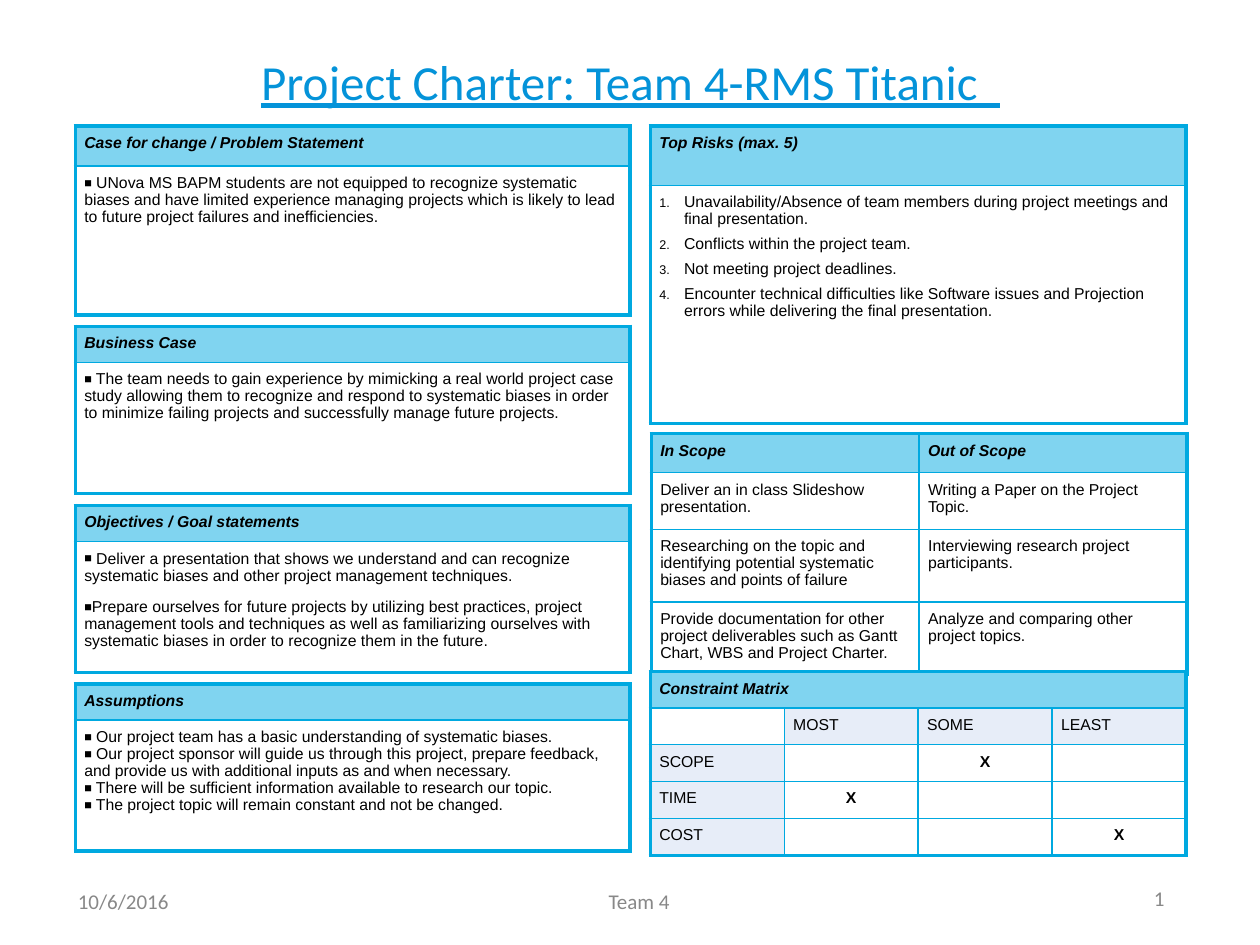
from lxml.etree import SubElement
from pptx import Presentation
from pptx.dml.color import RGBColor
from pptx.enum.text import MSO_ANCHOR as Anchor, PP_ALIGN as Align
from pptx.oxml.ns import qn
from pptx.util import Cm, Pt

BLUE, HEADER, PALE, WHITE = "00A9E0", "80D4F0", "E7EDF8", "FFFFFF"
TITLE, GREY, BLACK = "0493D9", "888888", "000000"
LEFT, RIGHT = 1.52, 13.11
LEFT_WIDTH, RIGHT_WIDTH = 11.18, 10.8
HEADING = {"bold": True, "italic": True}
PLAIN = {"bold": False, "italic": False}
MARK = {"bold": True, "italic": False}
CELL_MARGINS = {f"margin_{side}": Cm(0.18) for side in ("left", "right", "top", "bottom")}
SQUARE = ("a:buChar", {"char": "■"})
NUMBER = ("a:buAutoNum", {"type": "arabicPeriod"})

STATEMENTS = [
    (2.54, (0.81, 3.0), "Case for change / Problem Statement", [
        " UNova MS BAPM students are not equipped to recognize systematic biases and have limited "
        "experience managing projects which is likely to lead to future project failures and "
        "inefficiencies."], 0),
    (6.58, (0.71, 2.64), "Business Case", [
        " The team needs to gain experience by mimicking a real world project case study allowing "
        "them to recognize and respond to systematic biases in order to minimize failing projects "
        "and successfully manage future projects."], 0),
    (10.19, (0.71, 2.64), "Objectives / Goal statements", [
        " Deliver a presentation that shows we understand and can recognize systematic biases and "
        "other project management techniques.",
        "Prepare ourselves for future projects by utilizing best practices, project management "
        "tools and techniques as well as familiarizing ourselves with systematic biases in order "
        "to recognize them in the future."], 8.5),
    (13.79, (0.71, 2.64), "Assumptions", [
        " Our project team has a basic understanding of systematic biases.",
        " Our project sponsor will guide us through this project, prepare feedback, and provide "
        "us with additional inputs as and when necessary.",
        " There will be sufficient information available to research our topic.",
        " The project topic will remain constant and not be changed."], 0),
]
RISKS = [
    "Unavailability/Absence of team members during project meetings and final presentation.",
    "Conflicts within the project team.",
    "Not meeting project deadlines.",
    "Encounter technical difficulties like Software issues and Projection errors while "
    "delivering the final presentation.",
]
SCOPE = [
    ("In Scope", "Out of Scope"),
    ("Deliver an in class Slideshow presentation.", "Writing a Paper on the Project Topic."),
    ("Researching on the topic and identifying potential systematic biases and points of failure",
     "Interviewing research project participants."),
    ("Provide documentation for other project deliverables such as Gantt Chart, WBS and "
     "Project Charter.", "Analyze and comparing other project topics."),
]
CONSTRAINTS = [
    ("Constraint Matrix", "", "", ""),
    ("", "MOST", "SOME", "LEAST"),
    ("SCOPE", "", "X", ""),
    ("TIME", "X", "", ""),
    ("COST", "", "", "X"),
]


def color(value):
    return RGBColor.from_string(value)


def apply(target, values):
    for name, value in values.items():
        setattr(target, name, value)


def add_span(para, text, size, font, tint, style):
    span = para.add_run()
    span.text = text
    apply(span.font, {"size": Pt(size), "name": font, **style})
    span.font.color.rgb = color(tint)


def add_text(slide, place, text, size, tint, align=Align.LEFT, underline=None):
    box = slide.shapes.add_textbox(*map(Cm, place))
    apply(box.text_frame, {"word_wrap": True, "vertical_anchor": Anchor.MIDDLE})
    para = box.text_frame.paragraphs[0]
    para.alignment = align
    add_span(para, text, size, "Calibri", tint, {"underline": underline})


def add_bullet(para, bullet):
    props = para._p.get_or_add_pPr()
    if bullet is NUMBER:
        apply_indent = {"marL": Cm(0.5), "indent": -Cm(0.5)}
        for name, value in apply_indent.items():
            props.set(name, str(int(value)))
    SubElement(SubElement(props, qn("a:buClr")), qn("a:srgbClr"), val=BLACK)
    SubElement(props, qn("a:buSzPct"), val="80000")
    SubElement(props, qn("a:buFont"), typeface="Arial")
    tag, values = bullet
    SubElement(props, qn(tag), values)


def write_cell(cell, texts, style, align=Align.LEFT, bullet=None, gap=0):
    frame = cell.text_frame
    for index, text in enumerate(texts):
        para = frame.add_paragraph() if index else frame.paragraphs[0]
        apply(para, {"alignment": align, "line_spacing": 0.96,
                     "space_before": Pt(gap if index else 0)})
        if bullet:
            add_bullet(para, bullet)
        if text:
            add_span(para, text, 9, "Arial", BLACK, style)
        else:
            SubElement(para._p, qn("a:endParaRPr"), sz="900")


def add_borders(cell, outer):
    props = cell._tc.get_or_add_tcPr()
    for side in "LRTB":
        width = Pt(2.25 if side in outer else 1)
        line = SubElement(props, qn(f"a:ln{side}"), w=str(int(width)))
        SubElement(SubElement(line, qn("a:solidFill")), qn("a:srgbClr"), val=BLUE)


def add_grid(slide, left, top, widths, heights, merge_header=False):
    place = map(Cm, (left, top, sum(widths), sum(heights)))
    table = slide.shapes.add_table(len(heights), len(widths), *place).table
    apply(table, {"first_row": False, "horz_banding": False})
    for column, width in zip(table.columns, widths):
        column.width = Cm(width)
    for row, height in zip(table.rows, heights):
        row.height = Cm(height)
    if merge_header:
        table.cell(0, 0).merge(table.cell(0, len(widths) - 1))
    for row in range(len(heights)):
        for column in range(len(widths)):
            cell = table.cell(row, column)
            edges = {"L": column == 0, "R": column + cell.span_width == len(widths),
                     "T": row == 0, "B": row == len(heights) - 1}
            apply(cell, CELL_MARGINS)
            add_borders(cell, [side for side, outer in edges.items() if outer])
            paint(cell, WHITE if row else HEADER)
    return table


def paint(cell, tint):
    cell.fill.solid()
    cell.fill.fore_color.rgb = color(tint)


def add_card(slide, left, top, width, heights, heading, texts, bullet, gap):
    table = add_grid(slide, left, top, [width], heights)
    write_cell(table.cell(0, 0), [heading], HEADING)
    write_cell(table.cell(1, 0), texts, PLAIN, bullet=bullet, gap=gap)


def add_scope(slide):
    table = add_grid(slide, 13.13, 8.74, [RIGHT_WIDTH / 2] * 2, [0.79, 1.14, 1.4, 1.4])
    for row, texts in enumerate(SCOPE):
        for column, text in enumerate(texts):
            write_cell(table.cell(row, column), [text], PLAIN if row else HEADING)


def add_constraints(slide):
    table = add_grid(slide, RIGHT, 13.54, [RIGHT_WIDTH / 4] * 4, [0.72] * 5, True)
    for row, texts in enumerate(CONSTRAINTS):
        for column, text in enumerate(texts):
            cell = table.cell(row, column)
            marked = text == "X"
            style = MARK if marked else PLAIN if row else HEADING
            write_cell(cell, [text], style, Align.CENTER if marked else Align.LEFT)
            if row and text and not marked:
                paint(cell, PALE)


def main():
    deck = Presentation()
    apply(deck, {"slide_width": Cm(25.4), "slide_height": Cm(19.05)})
    slide = deck.slides.add_slide(deck.slide_layouts[6])
    add_text(slide, (1.7, 0.43, 22.02, 2.41), "Project Charter: Team 4-RMS Titanic  ",
             28, TITLE, Align.CENTER, True)
    for top, heights, heading, texts, gap in STATEMENTS:
        add_card(slide, LEFT, top, LEFT_WIDTH, heights, heading, texts, SQUARE, gap)
    add_card(slide, RIGHT, 2.54, RIGHT_WIDTH, (1.2, 4.8), "Top Risks (max. 5)", RISKS, NUMBER, 4.5)
    add_scope(slide)
    add_constraints(slide)
    add_text(slide, (1.32, 17.65, 5.92, 1.02), "10/6/2016", 12, GREY)
    add_text(slide, (8.86, 17.65, 8.05, 1.02), "Team 4", 12, GREY, Align.CENTER)
    add_text(slide, (23.01, 17.86, 0.75, 0.51), "1", 12, GREY)
    deck.save("out.pptx")


if __name__ == "__main__":
    main()
